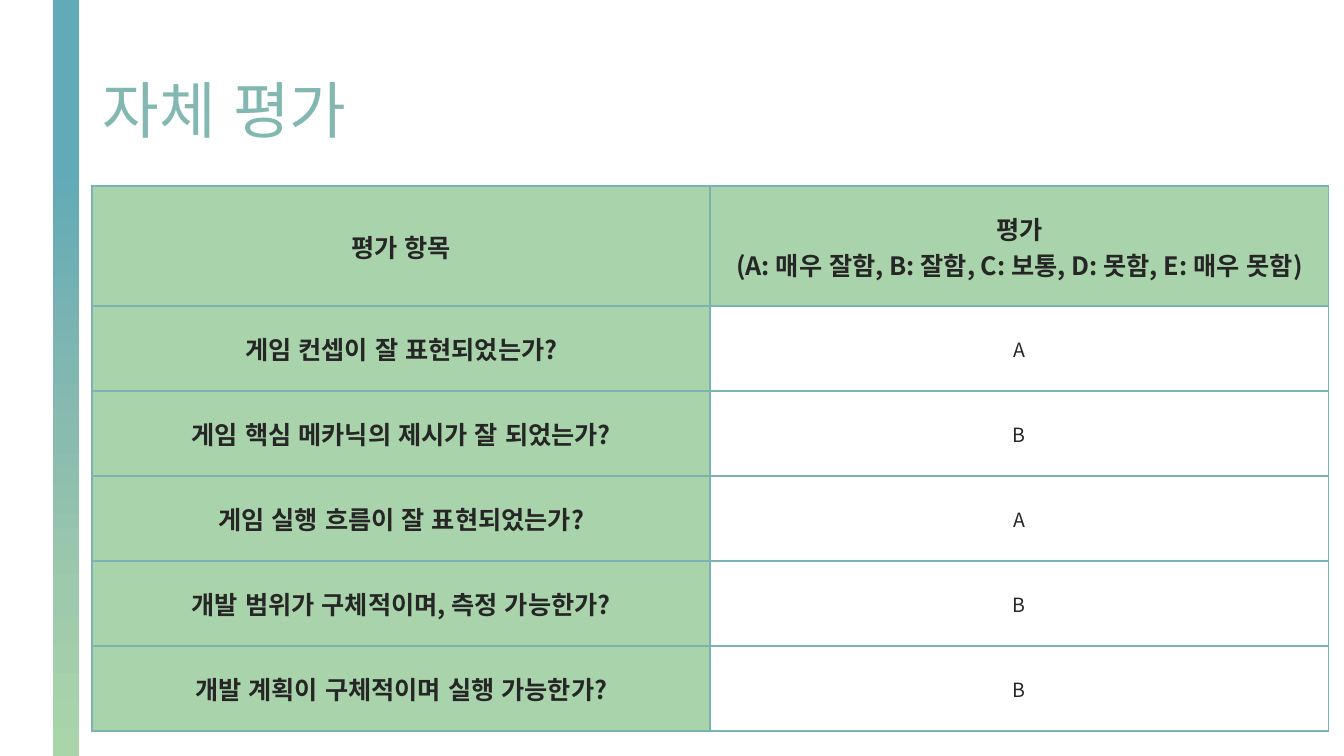
import pptx
import pptx.util
import pptx.dml.color
import pptx.enum.lang
import pptx.enum.shapes
import pptx.enum.text
import pptx.oxml
import pptx.oxml.ns
from lxml import etree

Cm = pptx.util.Cm
Pt = pptx.util.Pt
qn = pptx.oxml.ns.qn


def color(value):
    return pptx.dml.color.RGBColor.from_string(value)


class EvaluationSlide:
    font_name = "Noto Sans CJK KR"
    ink = "262626"
    heading_fill = "A9D4AB"
    border = "79B4B2"
    border_width = 1.5

    def __init__(self, deck):
        self.slide = deck.slides.add_slide(deck.slide_layouts[6])

    def gradient(self, fill, element, stops):
        fill.gradient()
        fill.gradient_angle = 90
        stop_list = next(element.iter(qn("a:gsLst")))
        for old_stop in list(stop_list):
            stop_list.remove(old_stop)
        for percent, value in stops:
            stop = etree.SubElement(stop_list, qn("a:gs"), pos=str(percent * 1000))
            etree.SubElement(stop, qn("a:srgbClr"), val=value)

    def format_run(self, run, size, bold):
        run.font.size = Pt(size)
        run.font.bold = bold
        run.font.name = self.font_name
        run.font.language_id = pptx.enum.lang.MSO_LANGUAGE_ID.KOREAN
        run.font.fill.solid()
        run.font.fill.fore_color.rgb = color(self.ink)
        properties = run.font._element
        etree.SubElement(properties, qn("a:ea"), typeface=self.font_name)

    def title(self, text, left, top, width, height, stops):
        frame = self.slide.shapes.add_textbox(Cm(left), Cm(top), Cm(width), Cm(height)).text_frame
        frame.word_wrap = True
        frame.vertical_anchor = pptx.enum.text.MSO_ANCHOR.MIDDLE
        frame.text = text
        heading = frame.paragraphs[0]
        heading.line_spacing = 0.9
        run = heading.runs[0]
        self.format_run(run, 44, False)
        self.gradient(run.font.fill, run.font._element, stops)

    def bar(self, left, top, width, height, stops):
        stripe = self.slide.shapes.add_shape(
            pptx.enum.shapes.MSO_SHAPE.RECTANGLE, Cm(left), Cm(top), Cm(width), Cm(height))
        stripe.shadow.inherit = False
        stripe.line.fill.background()
        self.gradient(stripe.fill, stripe.element, stops)

    def outline(self, cell):
        properties = cell._tc.get_or_add_tcPr()
        for position, side in enumerate(("lnL", "lnR", "lnT", "lnB")):
            edge = etree.Element(qn(f"a:{side}"), w=str(Pt(self.border_width)))
            paint = etree.SubElement(edge, qn("a:solidFill"))
            etree.SubElement(paint, qn("a:srgbClr"), val=self.border)
            properties.insert(position, edge)

    def cell(self, cell, text, is_heading):
        cell.text = text
        cell.vertical_anchor = pptx.enum.text.MSO_ANCHOR.MIDDLE
        for paragraph in cell.text_frame.paragraphs:
            paragraph.alignment = pptx.enum.text.PP_ALIGN.CENTER
            for run in paragraph.runs:
                self.format_run(run, 18 if is_heading else 14, is_heading)
        if is_heading:
            cell.fill.solid()
            cell.fill.fore_color.rgb = color(self.heading_fill)
        else:
            cell.fill.background()
        self.outline(cell)

    def table(self, rows, left, top, width, header_height, row_height):
        height = header_height + row_height * (len(rows) - 1)
        grid = self.slide.shapes.add_table(
            len(rows), len(rows[0]), Cm(left), Cm(top), Cm(width), Cm(height)).table
        grid.first_row = False
        grid.horz_banding = False
        for row_index, texts in enumerate(rows):
            grid.rows[row_index].height = Cm(row_height if row_index else header_height)
            for column_index, text in enumerate(texts):
                self.cell(grid.cell(row_index, column_index), text,
                          row_index == 0 or column_index == 0)


def main():
    deck = pptx.Presentation()
    deck.slide_width = Cm(33.87)
    deck.slide_height = Cm(19.05)

    evaluation = EvaluationSlide(deck)
    evaluation.title("자체 평가", 2.34, 1.02, 29.21, 3.68, [(0, "82B8B1"), (100, "60A9B6")])
    evaluation.bar(1.33, 0, 0.67, 19.05, [
        (0, "AAD5AB"), (22, "9DCAAC"), (42, "8ABBAF"), (78, "61AAB7"), (100, "60A9B6")])

    ratings = [
        ("평가 항목", "평가\n(A: 매우 잘함, B: 잘함, C: 보통, D: 못함, E: 매우 못함)"),
        ("게임 컨셉이 잘 표현되었는가?", "A"),
        ("게임 핵심 메카닉의 제시가 잘 되었는가?", "B"),
        ("게임 실행 흐름이 잘 표현되었는가?", "A"),
        ("개발 범위가 구체적이며, 측정 가능한가?", "B"),
        ("개발 계획이 구체적이며 실행 가능한가?", "B"),
    ]
    evaluation.table(ratings, 2.32, 4.69, 31.16, 3.03, 2.14)
    deck.save("out.pptx")


if __name__ == "__main__":
    main()
